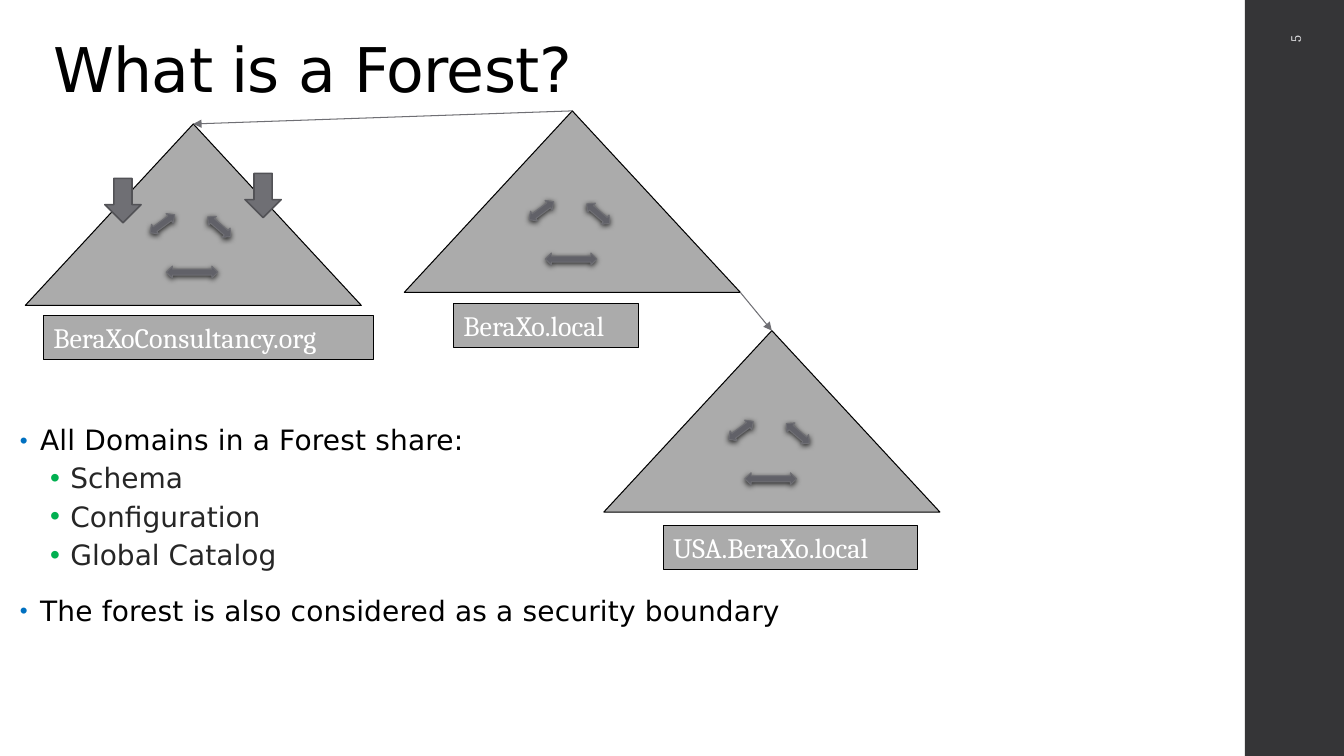
from lxml import etree
from pptx import Presentation
from pptx.dml.color import RGBColor
from pptx.enum.shapes import MSO_CONNECTOR, MSO_SHAPE
from pptx.enum.text import MSO_ANCHOR, PP_ALIGN
from pptx.oxml.ns import qn
from pptx.util import Inches, Pt

RECT, TRIANGLE = MSO_SHAPE.RECTANGLE, MSO_SHAPE.ISOSCELES_TRIANGLE
DOUBLE_ARROW, DOWN_ARROW = MSO_SHAPE.LEFT_RIGHT_ARROW, MSO_SHAPE.DOWN_ARROW
STRAIGHT = MSO_CONNECTOR.STRAIGHT
TOP, MIDDLE, BOTTOM = MSO_ANCHOR.TOP, MSO_ANCHOR.MIDDLE, MSO_ANCHOR.BOTTOM
LEFT, RIGHT = PP_ALIGN.LEFT, PP_ALIGN.RIGHT
SANS, SERIF = "DejaVu Sans", "Cambria"
BLACK, WHITE, GREY, SLATE = "000000", "FFFFFF", "ABABAB", "6F6F74"

TRI_W, TRI_H = 25, 24
# Offset from the triangle's corner, width and rotation
INNER_ARROWS = [
    (9.08, 12.4, 2.25, 323.6),
    (13.31, 12.8, 2.25, 220.7),
    (10.5, 18.8, 3.83, 180),
]
# Triangle corner, then label text, corner and width
DOMAINS = {
    "local": ((30.08, 14.67), "BeraXo.local", (33.75, 40.13), 13.8),
    "org": ((1.88, 16.4), "BeraXoConsultancy.org", (3.23, 41.73), 24.53),
    "usa": ((44.93, 43.73), "USA.BeraXo.local", (49.35, 69.47), 18.9),
}
LEVELS = [
    dict(color=BLACK, bullet="0070C0", bullet_size=80, indent=0.2, spacing=10,
         format=dict(line_spacing=0.95, space_before=Pt(14), space_after=Pt(2))),
    dict(color="262626", bullet="00B050", bullet_size=100, indent=0.5, spacing=0,
         format=dict(line_spacing=0.9, space_before=Pt(3), space_after=Pt(3))),
]
POINTS = [
    (0, "All Domains in a Forest share:"),
    (1, "Schema"),
    (1, "Configuration"),
    (1, "Global Catalog"),
    (0, "The forest is also considered as a security boundary"),
]


def rgb(value):
    return RGBColor.from_string(value)


def add_xml(parent, tag, **attrs):
    values = {name: str(value) for name, value in attrs.items()}
    return etree.SubElement(parent, qn(tag), values)


class SlideBuilder:
    """Draws on one slide; lengths are percentages of the slide's size."""

    def __init__(self, prs):
        self.width, self.height = prs.slide_width, prs.slide_height
        self.s = prs.slides.add_slide(prs.slide_layouts[6])
        self.s.background.fill.solid()
        self.s.background.fill.fore_color.rgb = rgb(WHITE)

    def x(self, share):
        return round(self.width * share / 100)

    def y(self, share):
        return round(self.height * share / 100)

    def box(self, x, y, w, h):
        return self.x(x), self.y(y), self.x(w), self.y(h)

    def shape(self, kind, box, fill, line=None, weight=0.75, rotation=0, parent=None):
        sp = (parent or self.s).shapes.add_shape(kind, *self.box(*box))
        sp.shadow.inherit = False
        sp.rotation = rotation
        sp.fill.solid()
        sp.fill.fore_color.rgb = rgb(fill)
        if line:
            sp.line.color.rgb = rgb(line)
            sp.line.width = Pt(weight)
        else:
            sp.line.fill.background()
        return sp

    def cast_shadow(self, sp):
        effects = sp._element.spPr.find(qn("a:effectLst"))
        shadow = add_xml(effects, "a:outerShdw", blurRad=Pt(4), dist=Pt(1.2),
                         dir=90 * 60000, rotWithShape=0)
        color = add_xml(shadow, "a:srgbClr", val=BLACK)
        add_xml(color, "a:alpha", val=75000)

    def add_text(self, p, text, size, font, color, spacing=0):
        r = p.add_run()
        r.text = text
        for name, value in dict(size=Pt(size), name=font).items():
            setattr(r.font, name, value)
        r.font.color.rgb = rgb(color)
        if spacing:
            r._r.get_or_add_rPr().set("spc", str(spacing))

    def text_box(self, box, anchor=TOP, rotation=0):
        sp = self.s.shapes.add_textbox(*self.box(*box))
        sp.rotation = rotation
        tf = sp.text_frame
        tf.word_wrap = True
        tf.vertical_anchor = anchor
        return tf

    def title(self, text, box):
        p = self.text_box(box, BOTTOM).paragraphs[0]
        p.line_spacing = 0.9
        self.add_text(p, text, 44, SANS, BLACK, -50)

    def slide_number(self, text, box):
        p = self.text_box(box, MIDDLE, 270).paragraphs[0]
        p.alignment = RIGHT
        self.add_text(p, text, 10.5, SERIF, "D9D9DB")

    def bullets(self, points, box):
        tf = self.text_box(box)
        for i, (level, text) in enumerate(points):
            p = tf.paragraphs[0] if i == 0 else tf.add_paragraph()
            style = LEVELS[level]
            p.level = level
            for name, value in style["format"].items():
                if i or name != "space_before":
                    setattr(p, name, value)
            pPr = p._p.get_or_add_pPr()
            pPr.set("marL", str(Inches(style["indent"])))
            pPr.set("indent", str(Inches(-0.2)))
            add_xml(add_xml(pPr, "a:buClr"), "a:srgbClr", val=style["bullet"])
            add_xml(pPr, "a:buSzPct", val=style["bullet_size"] * 1000)
            add_xml(pPr, "a:buFont", typeface="Arial")
            add_xml(pPr, "a:buChar", char="•")
            self.add_text(p, text, 20, SANS, style["color"], style["spacing"])

    def domain(self, x, y):
        """Group a triangle with its three double arrows."""
        group = self.s.shapes.add_group_shape()
        self.shape(TRIANGLE, (x, y, TRI_W, TRI_H), GREY, BLACK, parent=group)
        for dx, dy, w, rotation in INNER_ARROWS:
            sp = self.shape(DOUBLE_ARROW, (x + dx, y + dy, w, 1.6), "616168", SLATE,
                            rotation=rotation, parent=group)
            self.cast_shadow(sp)

    def label(self, text, x, y, w):
        tf = self.shape(RECT, (x, y, w, 5.87), GREY, BLACK).text_frame
        tf.word_wrap = True
        tf.vertical_anchor = TOP
        p = tf.paragraphs[0]
        p.alignment = LEFT
        self.add_text(p, text, 20, SERIF, WHITE)

    def arrow(self, start, end):
        (x1, y1), (x2, y2) = start, end
        sp = self.s.shapes.add_connector(STRAIGHT, self.x(x1), self.y(y1),
                                         self.x(x2), self.y(y2))
        sp.line.color.rgb = rgb(SLATE)
        sp.line.width = Pt(0.75)
        ln = sp._element.spPr.find(qn("a:ln"))
        add_xml(ln, "a:tailEnd", type="triangle")
        add_xml(sp._element.spPr, "a:effectLst")


def apex(name):
    x, y = DOMAINS[name][0]
    return x + TRI_W / 2, y


def right_corner(name):
    x, y = DOMAINS[name][0]
    return x + TRI_W, y + TRI_H


def main():
    prs = Presentation()
    prs.slide_width, prs.slide_height = Inches(13.33), Inches(7.5)
    slide = SlideBuilder(prs)
    slide.shape(RECT, (92.63, 0, 7.37, 100), "353537")
    slide.title("What is a Forest?", (3.23, 2.93, 86.63, 11.73))
    slide.bullets(POINTS, (0.75, 55.6, 71.25, 32.8))
    slide.slide_number("5", (88.58, 14.53, 15.6, 5.33))
    for corner, *_ in DOMAINS.values():
        slide.domain(*corner)
    slide.arrow(apex("local"), apex("org"))
    slide.arrow(right_corner("local"), apex("usa"))
    for _, text, corner, width in DOMAINS.values():
        slide.label(text, *corner, width)
    for x, y in [(7.8, 23.6), (18.23, 22.93)]:
        slide.shape(DOWN_ARROW, (x, y, 2.7, 5.87), SLATE, "525256", 1.1)
    prs.save("out.pptx")


if __name__ == "__main__":
    main()
